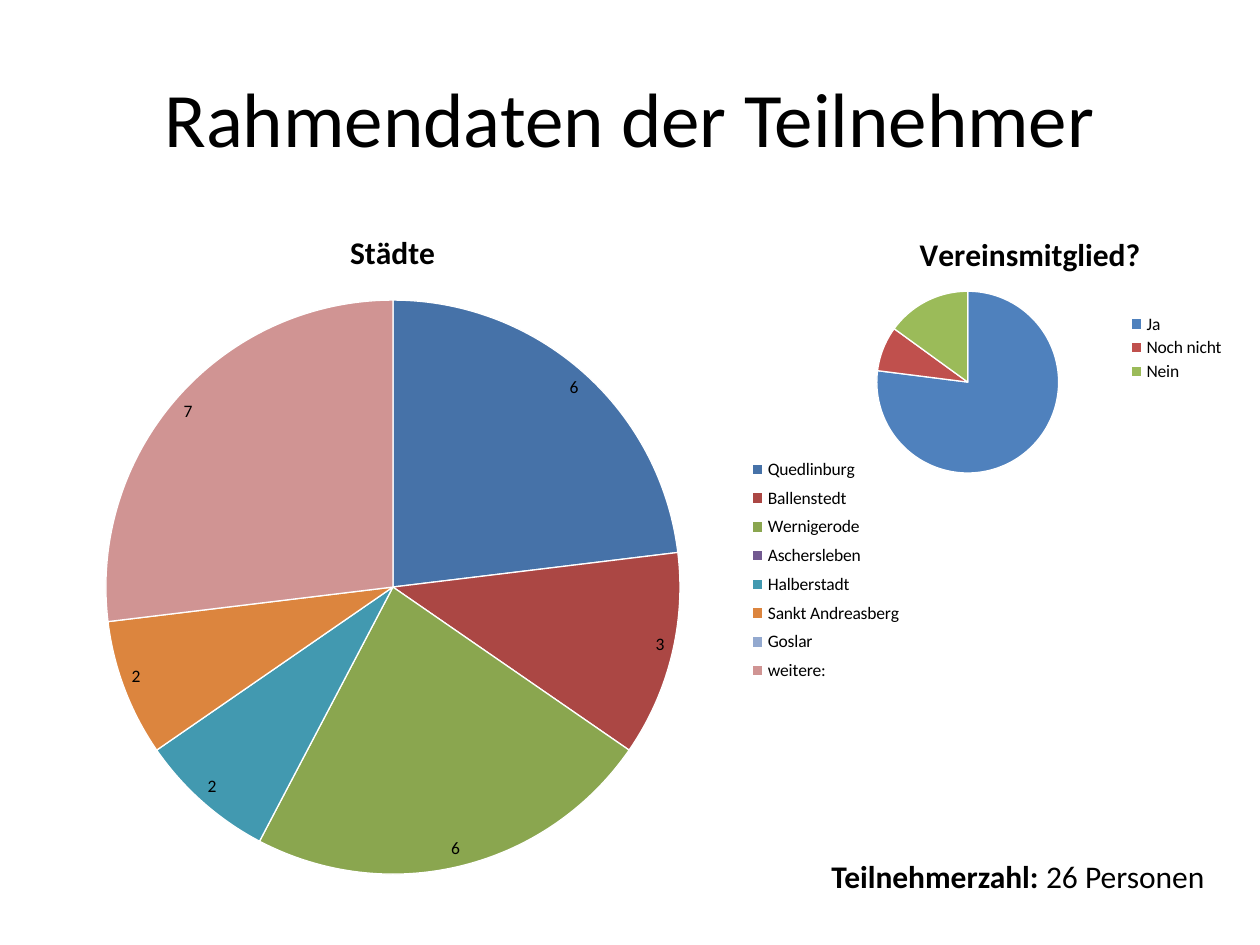
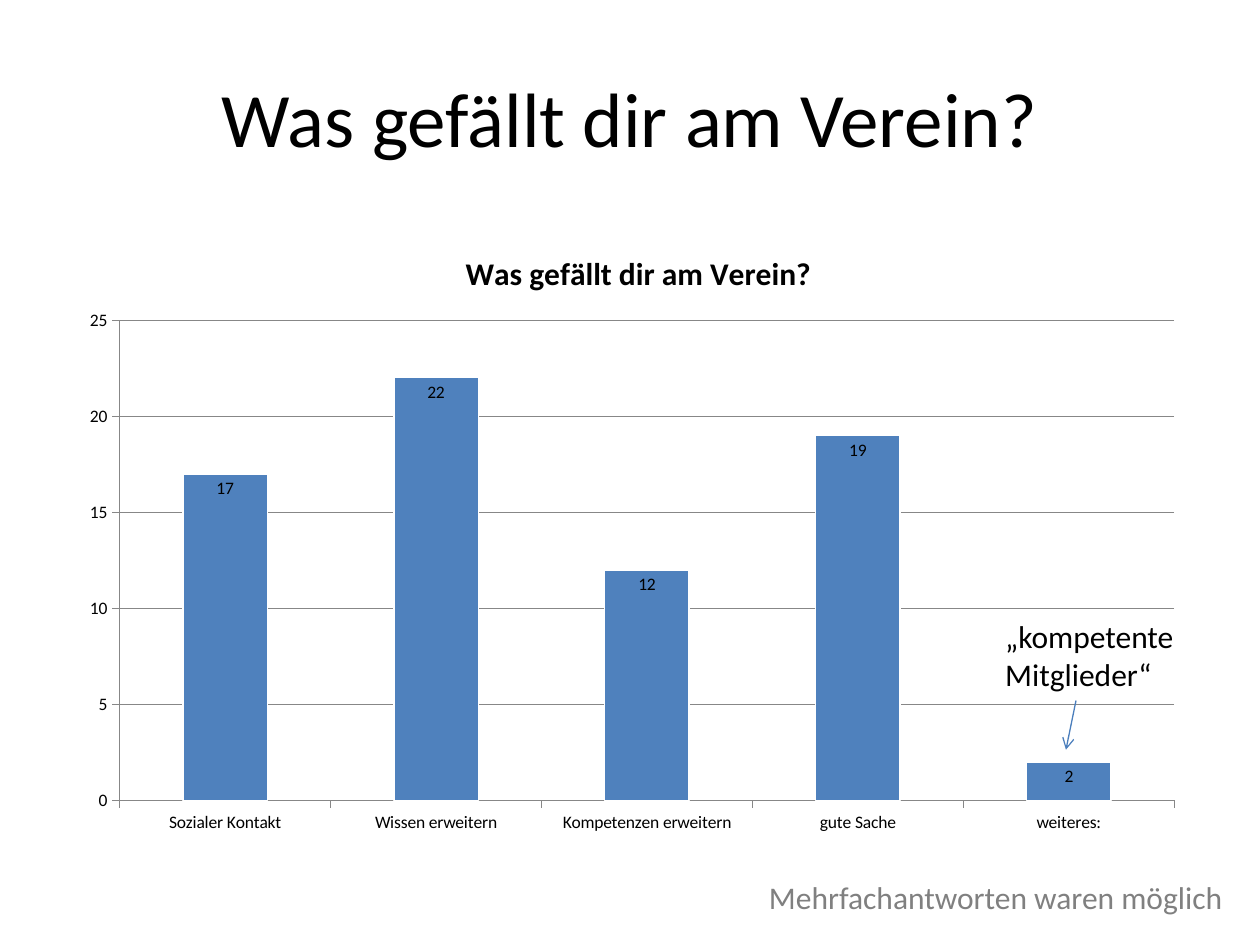
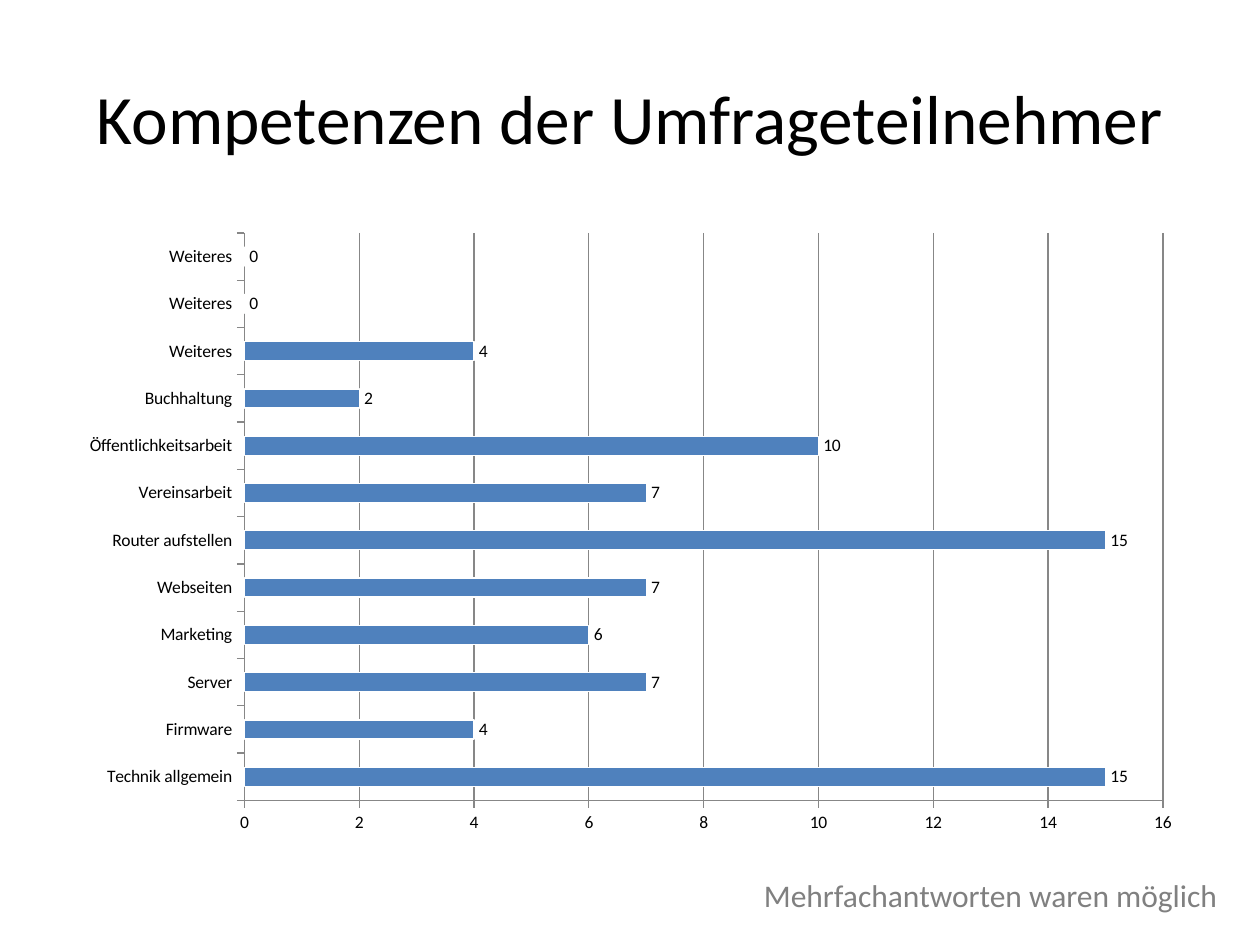
from dataclasses import dataclass
from lxml import etree
from pptx import Presentation
from pptx.chart.data import CategoryChartData
from pptx.dml.color import RGBColor
from pptx.enum import chart as ch, shapes, text
from pptx.oxml import ns
from pptx.util import Inches, Pt


@dataclass(frozen=True)
class Theme:
    font: str = "Calibri"
    ink: str = "000000"
    gray: str = "808080"
    axis: str = "878787"
    paper: str = "FFFFFF"
    arrow: str = "4B7EBC"
    blue: str = "4F81BD"
    trio: tuple = ("4F81BD", "C0504D", "9BBB59")
    towns: tuple = ("4672A8", "AB4744", "8AA64F", "725990",
                    "4299B0", "DC853E", "93A9CF", "D09493")
    head: float = 44
    body: float = 18
    small: float = 10


T = Theme()
rgb = RGBColor.from_string


def write(slide, box, parts, size=T.body, color=T.ink,
          align=text.PP_ALIGN.LEFT, anchor=text.MSO_ANCHOR.TOP):
    """Add a text box; parts is a list of (words, bold)."""
    frame = slide.shapes.add_textbox(*map(Inches, box)).text_frame
    frame.word_wrap = True
    frame.vertical_anchor = anchor
    para = frame.paragraphs[0]
    para.alignment = align
    for words, bold in parts:
        run = para.add_run()
        run.text = words
        run.font.name, run.font.size, run.font.bold = T.font, Pt(size), bold
        run.font.color.rgb = rgb(color)


def place(node, index, **spots):
    """Give a chart part a fixed place, as shares of the chart."""
    for old in node.findall(ns.qn("c:layout")):
        node.remove(old)
    layout = etree.Element(ns.qn("c:layout"))
    manual = etree.SubElement(layout, ns.qn("c:manualLayout"))
    if node.tag == ns.qn("c:plotArea"):
        etree.SubElement(manual, ns.qn("c:layoutTarget"), val="inner")
    for key in ("x", "y"):
        etree.SubElement(manual, ns.qn(f"c:{key}Mode"), val="edge")
    for key, val in spots.items():
        etree.SubElement(manual, ns.qn(f"c:{key}"), val=str(val))
    node.insert(index, layout)


deck = Presentation()
deck.slide_width, deck.slide_height = Inches(10), Inches(7.5)

# Slides and their titles
heads = [("Rahmendaten der Teilnehmer", T.head),
         ("Was gefällt dir am Verein?", T.head),
         ("Kompetenzen der Umfrageteilnehmer", 39.6)]
slides = []
for words, size in heads:
    slide = deck.slides.add_slide(deck.slide_layouts[6])
    write(slide, (0.5, 0.3, 9, 1.25), [(words, False)], size,
          align=text.PP_ALIGN.CENTER, anchor=text.MSO_ANCHOR.MIDDLE)
    slides.append(slide)
people, likes, skills = slides

# Chart contents; places are shares of each chart
kind, spot = ch.XL_CHART_TYPE, ch.XL_LABEL_POSITION
wide = (0.5, 1.75, 9, 4.95)
charts = [
    dict(slide=people, kind=kind.PIE, box=(0.28, 1.62, 7.01, 5.43),
         title="Städte", head=(0.35, 0.03), colors=T.towns,
         plot=(0.08, 0.14, 0.65, 0.84), key=(0.8, 0.36, 0.19, 0.35),
         label=spot.INSIDE_END,
         data=[("Quedlinburg", 6), ("Ballenstedt", 3), ("Wernigerode", 6),
               ("Aschersleben", 0), ("Halberstadt", 2),
               ("Sankt Andreasberg", 2), ("Goslar", 0), ("weitere:", 7)]),
    dict(slide=people, kind=kind.PIE, box=(6.5, 1.62, 3.28, 2.28),
         title="Vereinsmitglied?", head=(0.23, 0.08), colors=T.trio,
         plot=(0.14, 0.3, 0.44, 0.64), key=(0.73, 0.37, 0.27, 0.26),
         data=[("Ja", 77), ("Noch nicht", 8), ("Nein", 15)]),
    dict(slide=likes, kind=kind.COLUMN_CLUSTERED, box=wide,
         title="Was gefällt dir am Verein?", head=(0.35, 0.04),
         plot=(0.05, 0.16, 0.93, 0.77), label=spot.INSIDE_END,
         top=25, step=5,
         data=[("Sozialer Kontakt", 17), ("Wissen erweitern", 22),
               ("Kompetenzen erweitern", 12), ("gute Sache", 19),
               ("weiteres:", 2)]),
    dict(slide=skills, kind=kind.BAR_CLUSTERED, box=wide,
         plot=(0.16, 0.02, 0.81, 0.91), label=spot.OUTSIDE_END,
         top=16, step=2,
         data=[("Technik allgemein", 15), ("Firmware", 4), ("Server", 7),
               ("Marketing", 6), ("Webseiten", 7), ("Router aufstellen", 15),
               ("Vereinsarbeit", 7), ("Öffentlichkeitsarbeit", 10),
               ("Buchhaltung", 2), ("Weiteres", 4), ("Weiteres", 0),
               ("Weiteres", 0)]),
]

for item in charts:
    names, vals = zip(*item["data"])
    data = CategoryChartData()
    data.categories = names
    data.add_series("Series 1", vals)
    chart = item["slide"].shapes.add_chart(
        item["kind"], *map(Inches, item["box"]), data).chart
    chart.font.name, chart.font.size = T.font, Pt(T.small)
    chart.font.color.rgb = rgb(T.ink)
    plot = chart.plots[0]
    row = plot.series[0]
    pie = item["kind"] == kind.PIE
    plot.vary_by_categories = pie

    # Title
    chart.has_title = "title" in item
    if chart.has_title:
        frame = chart.chart_title.text_frame
        frame.text = item["title"]
        font = frame.paragraphs[0].runs[0].font
        font.name, font.size, font.bold = T.font, Pt(T.body), True
        font.color.rgb = rgb(T.ink)
        place(chart.chart_title._element, 1, **dict(zip("xy", item["head"])))

    # Plot and legend
    place(chart._chartSpace.chart.plotArea, 0, **dict(zip("xywh", item["plot"])))
    chart.has_legend = pie
    if pie:
        chart.legend.position = ch.XL_LEGEND_POSITION.RIGHT
        chart.legend.include_in_layout = False
        place(chart.legend._element, 1, **dict(zip("xywh", item["key"])))

    # Slices or bars
    if pie:
        marks = [(row.points[i].format, c) for i, c in enumerate(item["colors"])]
    else:
        marks = [(row.format, T.blue)]
        row.invert_if_negative = False
        plot.gap_width = 150
    for mark, color in marks:
        mark.fill.solid()
        mark.fill.fore_color.rgb = rgb(color)
        mark.line.color.rgb = rgb(T.paper)
        mark.line.width = Pt(0.75)

    # Value labels; empty slices stay unlabelled
    if "label" in item:
        plot.has_data_labels = True
        labels = plot.data_labels
        labels.show_value = True
        labels.position = item["label"]
        labels.number_format = "0;;;" if pie else "0"
        labels.number_format_is_linked = False

    # Axes
    if not pie:
        scale = chart.value_axis
        scale.minimum_scale, scale.maximum_scale = 0, item["top"]
        scale.major_unit = item["step"]
        scale.has_major_gridlines = True
        chart.category_axis.has_major_gridlines = False
        for axis in (scale, chart.category_axis):
            axis.major_tick_mark = ch.XL_TICK_MARK.OUTSIDE
            axis.minor_tick_mark = ch.XL_TICK_MARK.NONE
        for part in (scale, chart.category_axis, scale.major_gridlines):
            part.format.line.color.rgb = rgb(T.axis)
            part.format.line.width = Pt(0.75)

# Head count
write(people, (6.5, 6.75, 3.31, 0.4),
      [("Teilnehmerzahl: ", True), ("26 Personen", False)])

# Footers
for slide, box in ((likes, (5.31, 6.92, 4.49, 0.4)),
                   (skills, (5.63, 6.9, 4.13, 0.4))):
    write(slide, box, [("Mehrfachantworten waren möglich", False)],
          color=T.gray, align=text.PP_ALIGN.RIGHT)

# Remark on the last column
write(likes, (7.88, 4.85, 1.57, 0.71), [("„kompetente Mitglieder“", False)])
arrow = likes.shapes.add_connector(
    shapes.MSO_CONNECTOR.STRAIGHT, *map(Inches, (8.54, 5.56, 8.46, 5.95)))
arrow.line.color.rgb = rgb(T.arrow)
arrow.line.width = Pt(0.75)
etree.SubElement(arrow.line._get_or_add_ln(), ns.qn("a:tailEnd"), type="arrow")
etree.SubElement(arrow._element.spPr, ns.qn("a:effectLst"))

deck.save("out.pptx")
